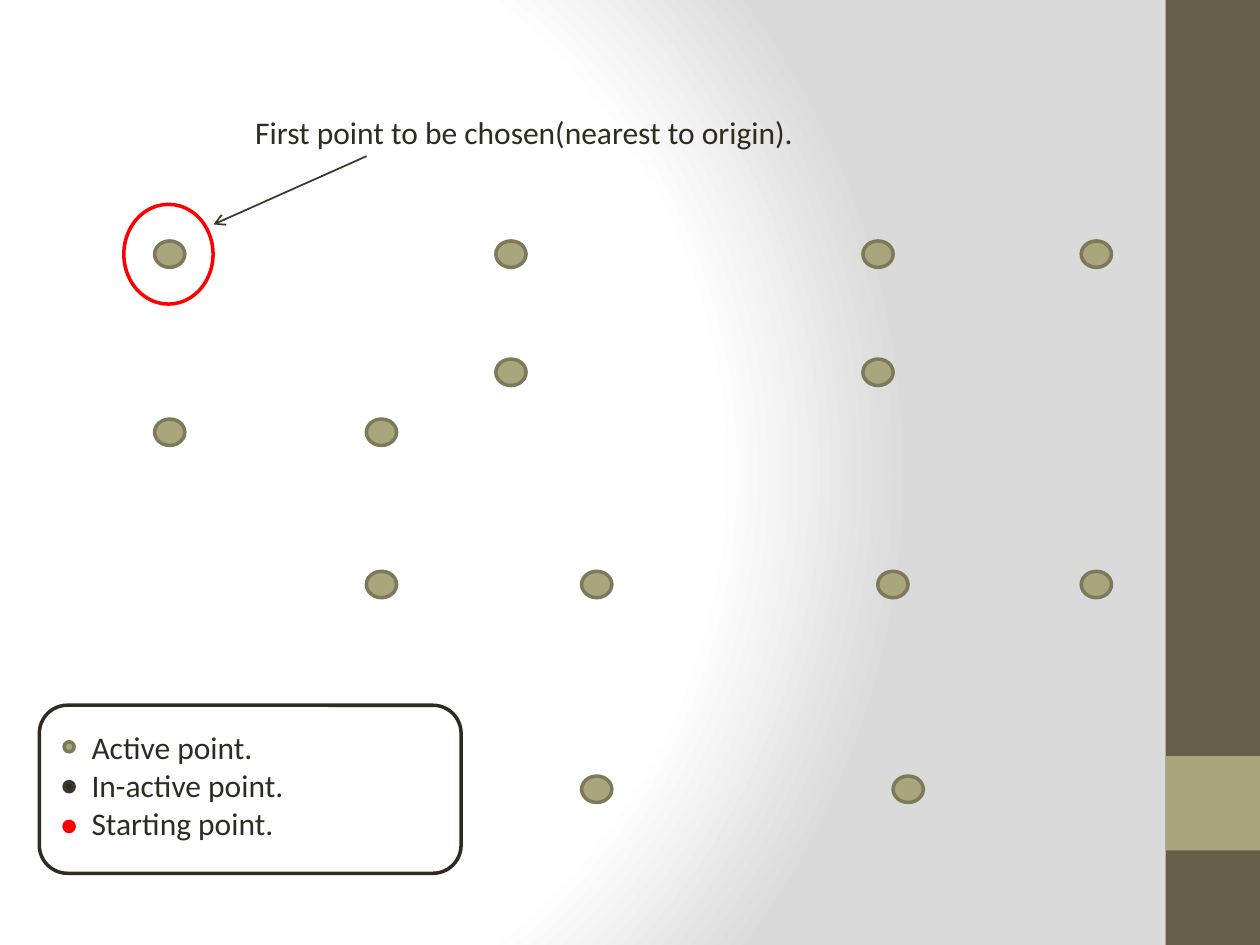
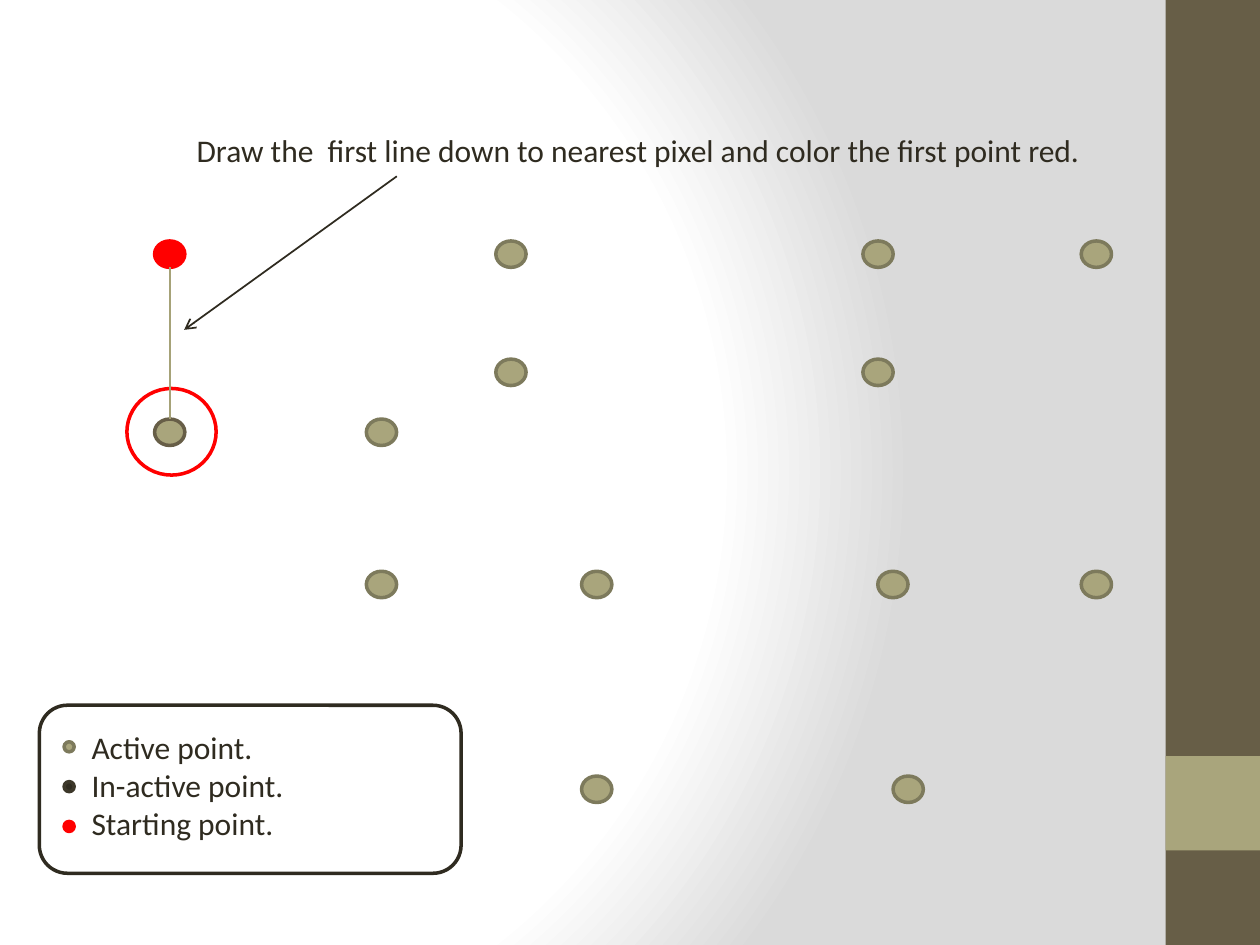
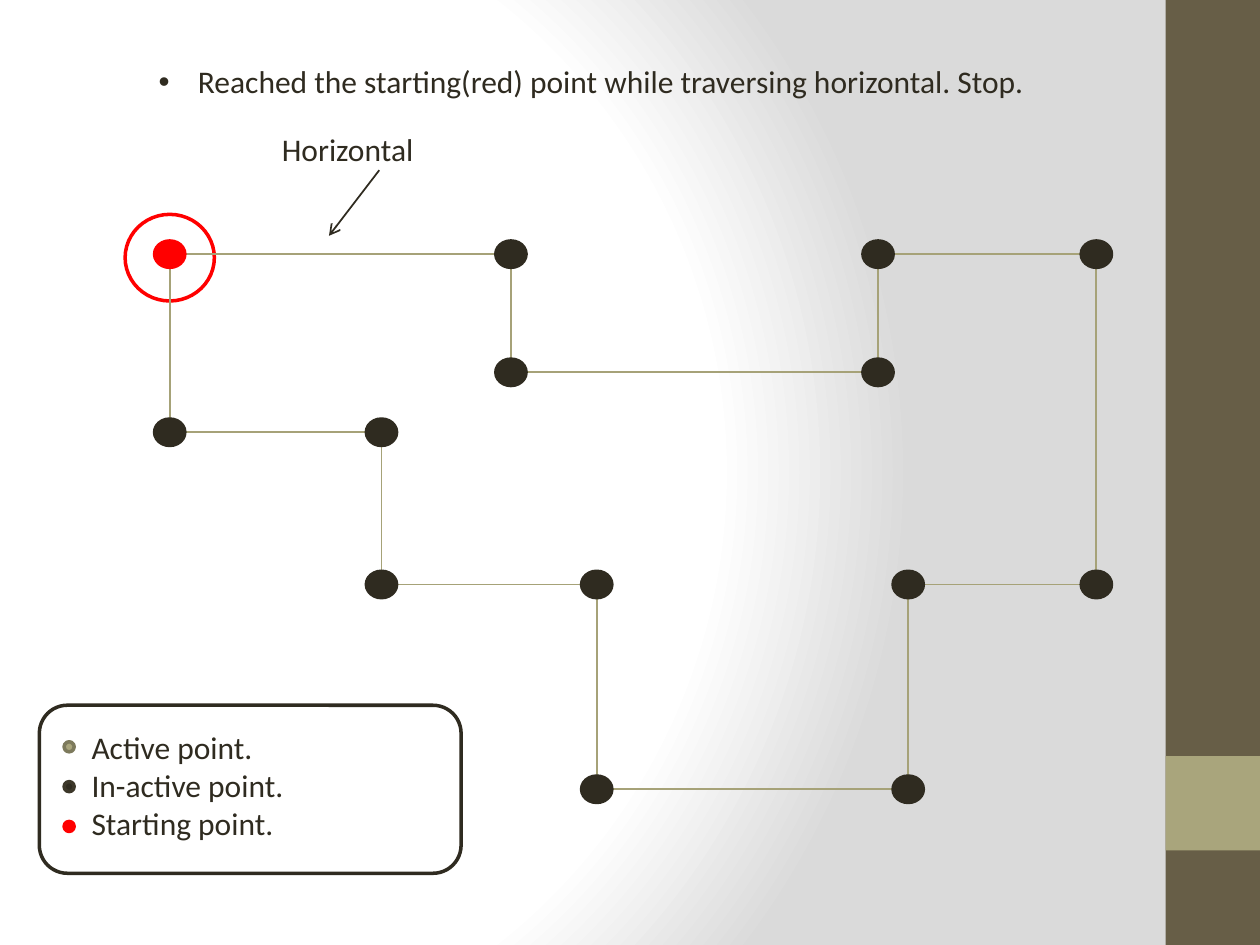
from itertools import pairwise

from pptx import Presentation
from pptx.dml.color import RGBColor
from pptx.enum.shapes import MSO_CONNECTOR, MSO_SHAPE
from pptx.enum.text import MSO_AUTO_SIZE
from pptx.oxml import parse_xml
from pptx.oxml.ns import nsdecls, qn
from pptx.util import Pt

WIDTH, HEIGHT = 720, 540
BAND_LEFT, BAND_WIDTH = 666, 54
WHITE, RED, INK, CHARCOAL = "FFFFFF", "FF0000", "2F2B20", "3C3729"
BROWN, OLIVE, OLIVE_EDGE, EDGE = "675E47", "A9A57C", "7D7A5C", "A6A278"
ACTIVE, INACTIVE, STARTING = (OLIVE, OLIVE_EDGE), (INK, INK), (RED, RED)
CURRENT = (OLIVE, BROWN)
POINT_SIZE = (17.28, 15.12)
LEGEND = (
    ("Active point.", ACTIVE),
    ("In-active point.", (INK, CHARCOAL)),
    ("Starting point.", STARTING),
)


def color(value):
    return RGBColor.from_string(value)


def outline_points(knee):
    """Return the corner points in the order in which they are joined."""
    top, upper, middle, lower, bottom = 145.25, 212.75, 247, 334, 451
    return [
        (97, top), (97, middle), (218, middle), (218, lower), (341, lower),
        (341, bottom), (519, bottom), (knee, lower), (626.5, lower),
        (626.5, top), (501.75, top), (501.75, upper), (292, upper), (292, top),
    ]


class PointDeck:
    """Holds the shared style and the slide being drawn."""

    def __init__(self):
        self.deck = Presentation()
        self.deck.slide_width, self.deck.slide_height = Pt(WIDTH), Pt(HEIGHT)
        self.slide = None
        self.set_background()

    def set_background(self):
        master = self.deck.slide_master
        master.background.fill.gradient()
        gradient = next(master.element.iter(qn("a:gradFill")))
        stops = "".join(
            f'<a:gs pos="{position}000"><a:srgbClr val="{value}"/></a:gs>'
            for position, value in ((0, WHITE), (75, WHITE), (100, "DADADA"))
        )
        gradient.getparent().replace(gradient, parse_xml(
            f'<a:gradFill {nsdecls("a")} rotWithShape="1"><a:gsLst>{stops}</a:gsLst>'
            '<a:path path="circle"><a:fillToRect l="20000" t="50000" r="100000" b="50000"/>'
            "</a:path></a:gradFill>"
        ))

    def add_slide(self):
        self.slide = self.deck.slides.add_slide(self.deck.slide_layouts[6])
        self.shape(MSO_SHAPE.RECTANGLE, BAND_LEFT, 0, BAND_WIDTH, HEIGHT, BROWN)
        self.shape(MSO_SHAPE.RECTANGLE, BAND_LEFT, 432, BAND_WIDTH, BAND_WIDTH, OLIVE)

    def shape(self, kind, left, top, width, height, fill, line=None):
        shape = self.slide.shapes.add_shape(kind, Pt(left), Pt(top), Pt(width), Pt(height))
        shape.shadow.inherit = False
        shape.fill.solid()
        shape.fill.fore_color.rgb = color(fill)
        if line:
            shape.line.color.rgb = color(line)
            shape.line.width = Pt(2)
        else:
            shape.line.fill.background()

    def ellipse(self, center, size, fill, line):
        (x, y), (width, height) = center, size
        self.shape(MSO_SHAPE.OVAL, x - width / 2, y - height / 2, width, height, fill, line)

    def ring(self, x, y, height=49.5):
        self.ellipse((x, y), (51, height), WHITE, RED)

    def points(self, centers, styles):
        for center, style in zip(centers, styles):
            self.ellipse(center, POINT_SIZE, *style)

    def line(self, start, end, line_color=EDGE, arrow=False):
        line = self.slide.shapes.add_connector(
            MSO_CONNECTOR.STRAIGHT, *(Pt(length) for length in (*start, *end))
        )
        line.line.color.rgb = color(line_color)
        line.line.width = Pt(1)
        if arrow:
            line.line._get_or_add_ln().append(
                parse_xml(f'<a:tailEnd {nsdecls("a")} type="arrow"/>')
            )
        line._element.spPr.append(parse_xml(f'<a:effectLst {nsdecls("a")}/>'))

    def text(self, text, left, top, width, height=29, bullet=False):
        box = self.slide.shapes.add_textbox(Pt(left), Pt(top), Pt(width), Pt(height))
        frame = box.text_frame
        frame.word_wrap = True
        frame.auto_size = MSO_AUTO_SIZE.SHAPE_TO_FIT_TEXT
        frame.text = text
        for para in frame.paragraphs:
            for span in para.runs:
                span.font.name, span.font.size = "Calibri", Pt(18)
                span.font.color.rgb = color(INK)
            if bullet:
                properties = para._p.get_or_add_pPr()
                properties.set("marL", str(Pt(22.5)))
                properties.set("indent", str(-Pt(22.5)))
                properties.append(parse_xml(f'<a:buFont {nsdecls("a")} typeface="Arial"/>'))
                properties.append(parse_xml(f'<a:buChar {nsdecls("a")} char="•"/>'))

    def legend(self):
        self.shape(MSO_SHAPE.ROUNDED_RECTANGLE, 22.5, 403, 241, 96, WHITE, INK)
        self.text("\n".join(label for label, _ in LEGEND), 45.25, 412.5, 230, 72.75)
        for row, (_, style) in enumerate(LEGEND):
            self.ellipse((39.5, 426.75 + 22.75 * row), (5.75, 5.75), *style)

    def first_point(self):
        centers = outline_points(knee=510.25)
        self.add_slide()
        self.ring(96.25, 145.25, 57)
        self.points(centers, [ACTIVE] * len(centers))
        self.text("First point to be chosen(nearest to origin).", 138.75, 60.75, 388)
        self.line((209.5, 89.25), (122, 128.25), CHARCOAL, arrow=True)
        self.legend()

    def first_line(self):
        centers = outline_points(knee=510.25)
        start, below = centers[:2]
        half = POINT_SIZE[1] / 2
        self.add_slide()
        self.ring(98, 246.75)
        self.points(centers, [STARTING, CURRENT] + [ACTIVE] * (len(centers) - 2))
        self.line((start[0], start[1] + half), (below[0], below[1] - half))
        self.text(
            "Draw the  first line down to nearest pixel and color the first point red.",
            105.25, 71.5, 555,
        )
        self.line((226.75, 100.75), (105.25, 188.5), INK, arrow=True)
        self.legend()

    def closed_outline(self):
        centers = outline_points(knee=519)
        self.add_slide()
        self.ring(97, 147.25)
        for start, end in pairwise(centers + centers[:1]):
            self.line(start, end)
        self.points(centers, [STARTING] + [INACTIVE] * (len(centers) - 1))
        self.line((216.75, 97.25), (188, 134.75), INK, arrow=True)
        self.text("Horizontal", 154, 70.75, 103.75)
        self.text(
            "Reached the starting(red) point while traversing horizontal. Stop.",
            83.5, 32, 588, bullet=True,
        )
        self.legend()


def main():
    point_deck = PointDeck()
    point_deck.first_point()
    point_deck.first_line()
    point_deck.closed_outline()
    point_deck.deck.save("out.pptx")


if __name__ == "__main__":
    main()
